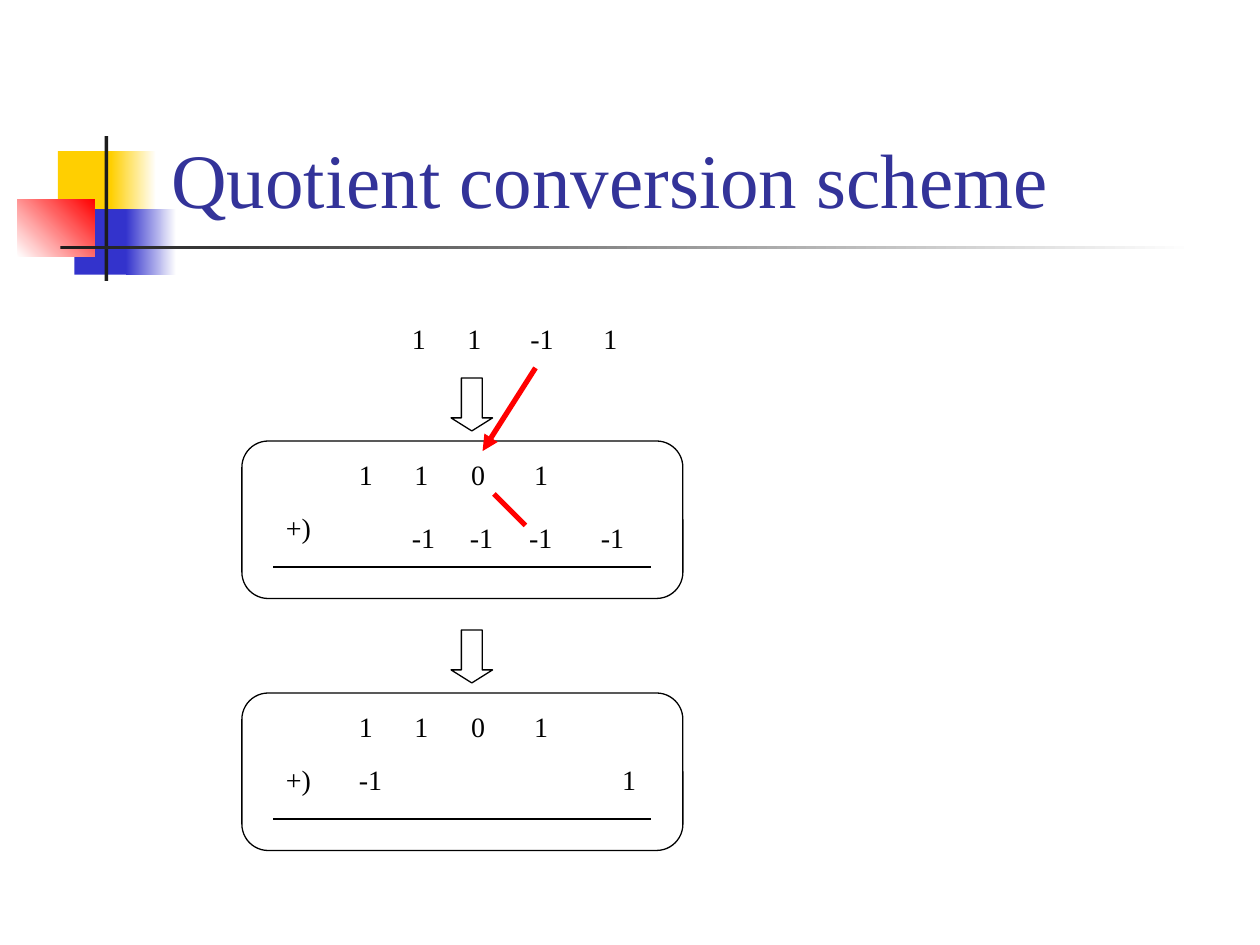
from pptx import Presentation
from pptx.dml.color import RGBColor
from pptx.enum import shapes as es, text as et
from pptx.oxml import parse_xml
from pptx.oxml.ns import nsdecls, qn
from pptx.util import Inches, Pt
from lxml import etree

HUES = {"gold": "FFCF01", "blue": "3333CC", "red": "FF0000", "dark": "1C1C1C",
        "white": "FFFFFF", "title": "333399", "black": "000000"}
FONT = "Times New Roman"
SHAPE = es.MSO_SHAPE


def hue(name):
    return RGBColor.from_string(HUES[name])


def style(frame, size, name):
    """Font for every run in a text frame."""
    for para in frame.paragraphs:
        para.alignment = et.PP_ALIGN.LEFT
        for run in para.runs:
            run.font.name = FONT
            run.font.size = Pt(size)
            run.font.color.rgb = hue(name)


def block(parts, left, top, wide, high, start, end=None, angle=0):
    """Borderless rectangle, plain or fading from start to end."""
    rect = parts.add_shape(SHAPE.RECTANGLE, Inches(left), Inches(top),
                           Inches(wide), Inches(high))
    rect.shadow.inherit = False
    rect.line.fill.background()
    if end:
        rect.fill.gradient()
        rect.fill.gradient_angle = angle
        for stop, name in zip(rect.fill.gradient_stops, (start, end)):
            stop.color.rgb = hue(name)
    else:
        rect.fill.solid()
        rect.fill.fore_color.rgb = hue(start)


def outline(parts, kind, left, top, wide, high, *adjust):
    """Unfilled shape with a thin black line."""
    item = parts.add_shape(kind, Inches(left), Inches(top),
                           Inches(wide), Inches(high))
    item.shadow.inherit = False
    item.fill.background()
    item.line.color.rgb = hue("black")
    item.line.width = Pt(0.75)
    for i, value in enumerate(adjust):
        item.adjustments[i] = value


def stroke(parts, start, end, name, width, arrow=False):
    """Straight line, with an arrowhead at its end if asked for."""
    line = parts.add_connector(es.MSO_CONNECTOR.STRAIGHT,
                               *map(Inches, start + end))
    line.line.color.rgb = hue(name)
    line.line.width = Pt(width)
    if arrow:
        line.line._get_or_add_ln().append(
            parse_xml(f'<a:tailEnd {nsdecls("a")} type="triangle"/>'))
    etree.SubElement(line._element.spPr, qn("a:effectLst"))


def label(parts, left, top, wide, words, stops=()):
    """One row of digits, held in columns by tab stops."""
    box = parts.add_textbox(Inches(left), Inches(top), Inches(wide), Inches(0.37))
    frame = box.text_frame
    frame.word_wrap = True
    para = frame.paragraphs[0]
    para.text = "\t".join(words.split())
    if stops:
        tabs = etree.SubElement(para._p.get_or_add_pPr(), qn("a:tabLst"))
        for stop in stops:
            etree.SubElement(tabs, qn("a:tab"), pos=str(Inches(stop)), algn="l")
    style(frame, 16, "black")


def header(slide, left, top):
    """Coloured blocks, crossing bars and the title."""
    parts = slide.shapes
    block(parts, left + 0.32, top + 0.12, 0.48, 0.52, "gold")
    block(parts, left + 0.74, top + 0.12, 0.36, 0.52, "gold", "white")
    block(parts, left + 0.45, top + 0.58, 0.46, 0.52, "blue")
    block(parts, left + 0.86, top + 0.58, 0.4, 0.52, "blue", "white")
    block(parts, left, top + 0.5, 0.61, 0.46, "white", "red", 45)
    block(parts, left + 0.69, top, 0.03, 1.15, "dark")
    block(parts, left + 0.34, top + 0.87, 9, 0.03, "dark", "white")

    title = parts.title
    title.left, title.top = Inches(1.26), Inches(0.23)
    title.width, title.height = Inches(8.52), Inches(1.6)
    frame = title.text_frame
    frame.text = "Quotient conversion scheme"
    frame.auto_size = et.MSO_AUTO_SIZE.NONE
    frame.vertical_anchor = et.MSO_ANCHOR.BOTTOM
    style(frame, 44, "title")
    title.element.getparent().append(title.element)  # in front of the blocks


def panel(slide, left, top, rows):
    """Rounded box with a sum; rows are (dx, dy, width, digits, stops)."""
    parts = slide.shapes.add_group_shape().shapes
    label(parts, left + 0.83, top + 0.08, 1.75, "1 1 0 1", (0.44, 0.89, 1.39))
    label(parts, left + 0.25, top + 0.5, 0.42, "+)")
    for dx, dy, *row in rows:
        label(parts, left + dx, top + dy, *row)
    stroke(parts, (left + 0.25, top + 1), (left + 3.25, top + 1), "black", 0.75)
    outline(parts, SHAPE.ROUNDED_RECTANGLE, left, top, 3.5, 1.25, 0.167)


def scheme(slide, left, top):
    """Digits at the top, then two sums, each below a block arrow."""
    parts = slide.shapes
    label(parts, left + 1.25, top, 1.85, "1 1 -1 1", (0.44, 0.94, 1.52))
    sums = (
        [(1.25, 0.58, 1.95, "-1 -1 -1 -1", (0.46, 0.93, 1.5))],
        [(0.83, 0.5, 0.4, "-1"), (2.92, 0.5, 0.33, "1")],
    )
    for i, rows in enumerate(sums):
        y = top + 2 * i
        outline(parts, SHAPE.DOWN_ARROW, left + 1.66, y + 0.5, 0.33, 0.42, 0.5, 0.313)
        panel(slide, left, y + 1, rows)

    # Red path of the borrowed digit
    stroke(parts, (left + 2.33, top + 0.42), (left + 1.91, top + 1.08), "red", 3, True)
    stroke(parts, (left + 2, top + 1.42), (left + 2.25, top + 1.67), "red", 3)


def main():
    deck = Presentation()
    deck.slide_width, deck.slide_height = Inches(10), Inches(7.5)
    slide = deck.slides.add_slide(deck.slide_layouts[5])
    header(slide, 0.14, 1.08)
    scheme(slide, 1.92, 2.5)
    deck.save("out.pptx")


if __name__ == "__main__":
    main()
